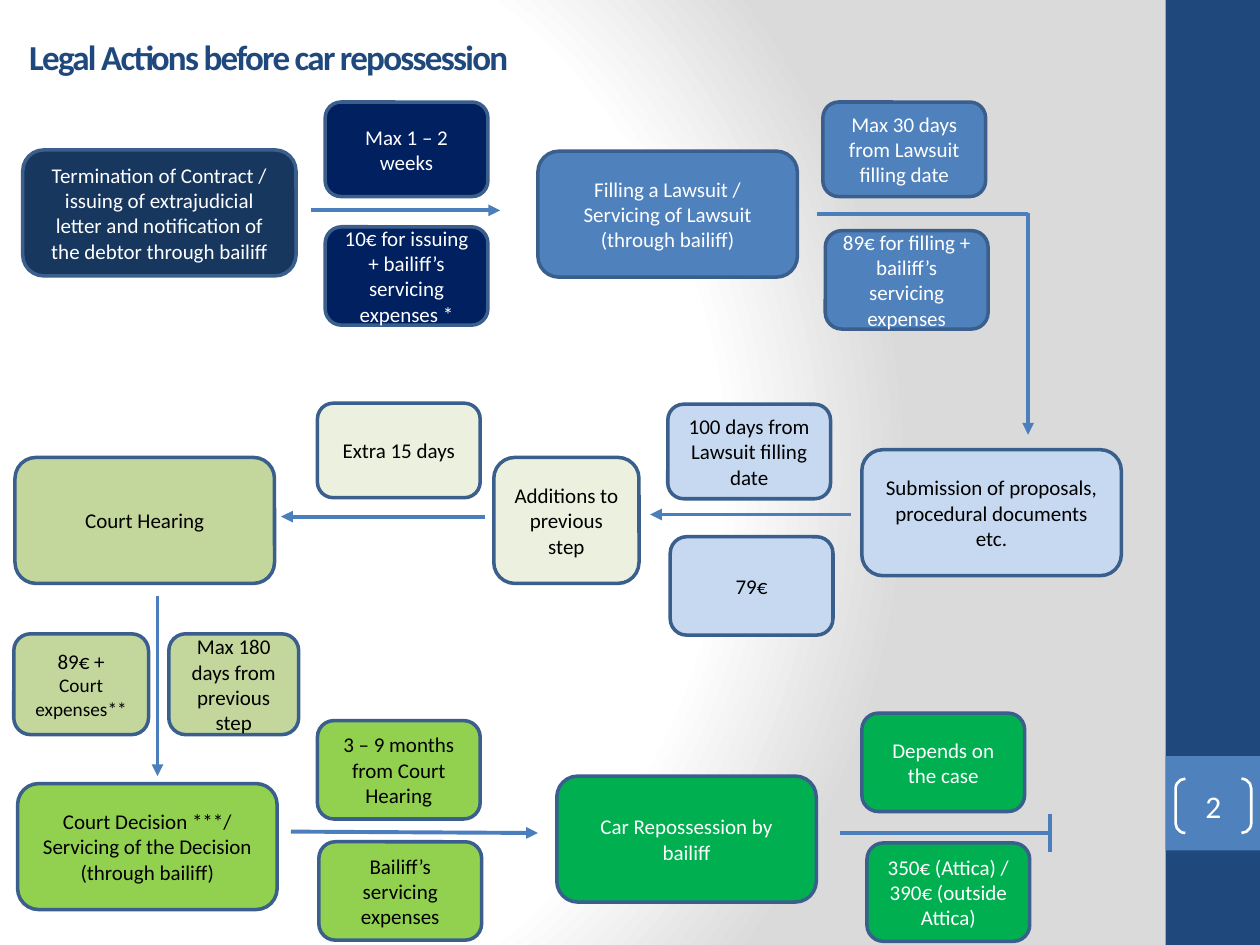
import dataclasses

import lxml.etree
import pptx
import pptx.dml.color
import pptx.enum.dml
import pptx.enum.shapes
import pptx.enum.text
import pptx.oxml
import pptx.oxml.ns
import pptx.util

Pt = pptx.util.Pt
RGB = pptx.dml.color.RGBColor.from_string
Shape = pptx.enum.shapes.MSO_SHAPE
Align = pptx.enum.text.PP_ALIGN
qn = pptx.oxml.ns.qn


@dataclasses.dataclass(frozen=True)
class Theme:
    font: str = "Calibri"
    title_size: int = 20
    number_size: int = 18
    body_size: int = 12
    small_size: int = 11
    white: str = "FFFFFF"
    black: str = "000000"
    band: str = "1F497D"
    blue: str = "4F81BD"
    outline: str = "3A5F8C"
    arrow: str = "4B7EBC"
    navy: str = "17375E"
    midnight: str = "002060"
    sky: str = "C6D9F1"
    cream: str = "EBF1DE"
    sage: str = "C3D69B"
    lime: str = "92D050"
    green: str = "00B050"
    shade: str = "DADADA"


theme = Theme()


def write(box, text, size=theme.body_size, color=theme.white, bold=False, align=Align.CENTER):
    """Fill the first paragraph of the box, or add one when it is taken."""
    frame = box.text_frame
    frame.word_wrap = True
    frame.vertical_anchor = pptx.enum.text.MSO_ANCHOR.MIDDLE
    para = frame.add_paragraph() if frame.text else frame.paragraphs[0]
    para.alignment = align
    span = para.add_run()
    span.text = text
    span.font.name = theme.font
    span.font.size = Pt(size)
    span.font.bold = bold
    span.font.color.rgb = RGB(color)
    return span


def add_box(kind, left, top, width, height, fill=None, line=None, weight=2):
    box = page.shapes.add_shape(kind, Pt(left), Pt(top), Pt(width), Pt(height))
    box.shadow.inherit = False
    if fill:
        box.fill.solid()
        box.fill.fore_color.rgb = RGB(fill)
    else:
        box.fill.background()
    if line:
        box.line.color.rgb = RGB(line)
        box.line.width = Pt(weight)
    else:
        box.line.fill.background()
    return box


deck = pptx.Presentation()
deck.slide_width = Pt(720)
deck.slide_height = Pt(540)
page = deck.slides.add_slide(deck.slide_layouts[5])

# Background: white fading to grey on a circular path
page.background.fill.solid()
solid = page.background._cSld.find(".//" + qn("a:solidFill"))
gradient = pptx.oxml.parse_xml(
    f"""<a:gradFill {pptx.oxml.ns.nsdecls("a")} rotWithShape="1"><a:gsLst>
    <a:gs pos="0"><a:srgbClr val="{theme.white}"/></a:gs>
    <a:gs pos="75000"><a:srgbClr val="{theme.white}"/></a:gs>
    <a:gs pos="100000"><a:srgbClr val="{theme.shade}"/></a:gs></a:gsLst>
    <a:path path="circle"><a:fillToRect l="20000" t="50000" r="100000" b="50000"/></a:path>
    </a:gradFill>"""
)
solid.getparent().replace(solid, gradient)

# Side band with the page number
add_box(Shape.RECTANGLE, 666, 0, 54, 540, theme.band)
add_box(Shape.RECTANGLE, 666, 432, 54, 54, theme.blue)
number = add_box(Shape.DOUBLE_BRACKET, 671.8, 445, 43.2, 31, line=theme.white, weight=1.5)
number.adjustments[0] = 0.18
frame = number.text_frame
frame.margin_left = frame.margin_right = frame.margin_top = frame.margin_bottom = 0
write(number, "2", size=theme.number_size)

title = page.shapes.title
title.left, title.top, title.width, title.height = Pt(9.4), Pt(13), Pt(624), Pt(38)
heading = write(title, "Legal Actions before car repossession", size=theme.title_size,
                color=theme.band, bold=True, align=Align.LEFT)
heading.font._element.set("spc", "-100")

# Procedure steps: left, top, width, fill, text colour, text
step_width, step_height = 148.3, 72
steps = [
    (13, 85.7, 156.2, theme.navy, theme.white,
     "Termination of Contract / issuing of extrajudicial letter and notification of the debtor through bailiff"),
    (307.4, 86.4, step_width, theme.blue, theme.white,
     "Filling a Lawsuit / Servicing of Lawsuit (through bailiff)"),
    (492.5, 257, step_width, theme.sky, theme.black,
     "Submission of proposals, procedural documents etc."),
    (282.2, 261.4, 83, theme.cream, theme.black, "Additions to previous step"),
    (8.6, 261.4, step_width, theme.sage, theme.black, "Court Hearing"),
    (10.1, 447.8, step_width, theme.lime, theme.black,
     "Court Decision ***/ Servicing of the Decision (through bailiff)"),
    (318.2, 443.5, step_width, theme.green, theme.white, "Car Repossession by bailiff"),
]
for left, top, width, fill, color, text in steps:
    box = add_box(Shape.ROUNDED_RECTANGLE, left, top, width, step_height, fill, theme.outline)
    write(box, text, color=color)

# Durations and costs: left, top, height, fill, text colour, text
note_width, low, high = 93, 54, 56.2
notes = [
    (185.8, 58.3, low, theme.midnight, theme.white, "Max 1 – 2 weeks"),
    (185.8, 129.6, high, theme.midnight, theme.white,
     "10€ for issuing + bailiff’s servicing expenses *"),
    (470.2, 58.3, low, theme.blue, theme.white, "Max 30 days from Lawsuit filling date"),
    (471.6, 131.8, high, theme.blue, theme.white,
     "89€ for filling + bailiff’s servicing expenses"),
    (381.6, 231, low, theme.sky, theme.black, "100 days from Lawsuit filling date"),
    (383, 306.7, high, theme.sky, theme.black, "79€"),
    (181.4, 230.4, low, theme.cream, theme.black, "Extra 15 days"),
    (181.4, 411.8, high, theme.lime, theme.black, "3 – 9 months from Court Hearing"),
    (182.2, 481, high, theme.lime, theme.black, "Bailiff’s servicing expenses"),
    (492.5, 407.5, high, theme.green, theme.white, "Depends on the case"),
    (495.4, 481.7, high, theme.green, theme.white, "350€ (Attica) / 390€ (outside Attica)"),
]
for left, top, height, fill, color, text in notes:
    box = add_box(Shape.ROUNDED_RECTANGLE, left, top, note_width, height, fill, theme.outline)
    write(box, text, color=color)

court_cost = add_box(Shape.ROUNDED_RECTANGLE, 7.9, 362.2, 77, 57.6, theme.sage, theme.outline)
write(court_cost, "89€ +", color=theme.black)
write(court_cost, "Court expenses**", size=theme.small_size, color=theme.black)
court_time = add_box(Shape.ROUNDED_RECTANGLE, 96.5, 362.2, 74.2, 57.6, theme.sage, theme.outline)
write(court_time, "Max 180 days from previous step", color=theme.black)

# Connectors: start x, start y, end x, end y, arrowhead
links = [
    (177.8, 120.2, 285.8, 120.2, True),
    (466.6, 122.4, 587.5, 122.4, False),
    (587.5, 121.7, 587.5, 248.4, True),
    (486, 294, 371.5, 294, True),
    (277.2, 295.2, 160.6, 295.2, True),
    (90, 340.6, 90, 443.5, True),
    (166.3, 475.2, 307.4, 476, True),
    (480.2, 476, 599.8, 476, False),
    (599.8, 465, 599.8, 486.7, False),
]
for start_x, start_y, end_x, end_y, has_arrow in links:
    link = page.shapes.add_connector(pptx.enum.shapes.MSO_CONNECTOR.STRAIGHT,
                                     Pt(start_x), Pt(start_y), Pt(end_x), Pt(end_y))
    link.line.color.rgb = RGB(theme.arrow)
    link.line.width = Pt(2.25)
    properties = link._element.spPr
    if has_arrow:
        lxml.etree.SubElement(properties.find(qn("a:ln")), qn("a:tailEnd"), type="triangle")
    lxml.etree.SubElement(properties, qn("a:effectLst"))

deck.save("out.pptx")
